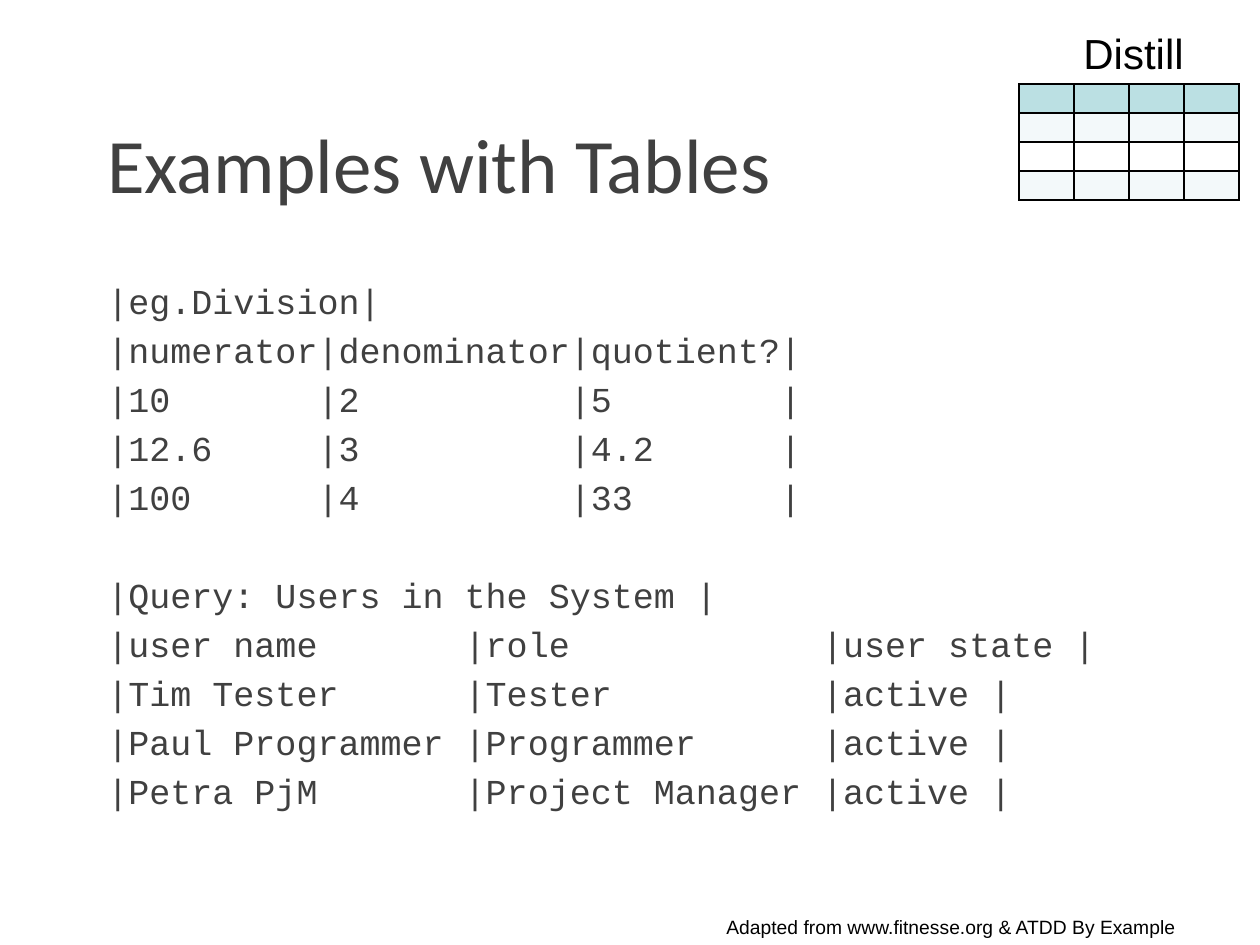
from lxml.etree import SubElement
from pptx import Presentation
from pptx.dml.color import RGBColor
from pptx.enum.text import MSO_ANCHOR
from pptx.oxml.ns import qn
from pptx.util import Emu, Pt

PX_PER_INCH = 126
BLACK, GRAY = "000000", "404040"
TABLE_ROW_FILLS = ["BBE0E3", "F3F9FA", "FFFFFF", "F3F9FA"]
LINE_GAP, BLOCK_GAP = 4, 32

DIVISION_EXAMPLE = [
    "|eg.Division|",
    "|numerator|denominator|quotient?|",
    "|10       |2          |5        |",
    "|12.6     |3          |4.2      |",
    "|100      |4          |33       |",
]
QUERY_EXAMPLE = [
    "|Query: Users in the System |",
    "|user name       |role            |user state |",
    "|Tim Tester      |Tester          |active |",
    "|Paul Programmer |Programmer      |active |",
    "|Petra PjM       |Project Manager |active |",
]


def px(length):
    return Emu(round(length * 914400 / PX_PER_INCH))


def rgb(value):
    return RGBColor.from_string(value)


def add_text(slide, box, lines, font, size, color, anchor=MSO_ANCHOR.TOP):
    frame = slide.shapes.add_textbox(*map(px, box)).text_frame
    frame.word_wrap = True
    frame.vertical_anchor = anchor
    frame.text = "\n".join(lines)
    for paragraph in frame.paragraphs:
        paragraph.font.name = font
        paragraph.font.size = Pt(size)
        paragraph.font.color.rgb = rgb(color)
    return frame


def add_examples(slide, box, blocks):
    """Stack blocks of code lines, with a wider gap between blocks."""
    lines = [line for block in blocks for line in block]
    frame = add_text(slide, box, lines, "Courier New", 20, GRAY)
    block_starts = [block[0] for block in blocks]
    for paragraph in frame.paragraphs[1:]:
        starts_block = paragraph.text in block_starts
        paragraph.space_before = Pt(BLOCK_GAP if starts_block else LINE_GAP)


def add_borders(cell):
    properties = cell._tc.get_or_add_tcPr()
    for position, side in enumerate(("lnL", "lnR", "lnT", "lnB")):
        line = properties.makeelement(qn(f"a:{side}"), {"w": str(Pt(1))})
        fill = SubElement(line, qn("a:solidFill"))
        SubElement(fill, qn("a:srgbClr"), val=BLACK)
        properties.insert(position, line)


def add_empty_table(slide, left, top, column_width, row_height, columns):
    rows = len(TABLE_ROW_FILLS)
    table = slide.shapes.add_table(
        rows, columns, px(left), px(top),
        px(column_width * columns), px(row_height * rows)).table
    for row, row_fill in zip(table.rows, TABLE_ROW_FILLS):
        for cell in row.cells:
            cell.margin_top = cell.margin_bottom = 0
            cell.fill.solid()
            cell.fill.fore_color.rgb = rgb(row_fill)
            # Small text size lets the empty rows stay low
            SubElement(cell.text_frame.paragraphs[0]._p,
                       qn("a:endParaRPr"), sz="800")
            add_borders(cell)


def main():
    deck = Presentation()
    deck.slide_width, deck.slide_height = px(1260), px(945)
    slide = deck.slides.add_slide(deck.slide_layouts[6])

    add_text(slide, (95, 84, 1071, 158), ["Examples with Tables"],
             "Calibri", 44, GRAY, MSO_ANCHOR.MIDDLE)
    add_examples(slide, (95, 273, 1071, 536),
                 [DIVISION_EXAMPLE, QUERY_EXAMPLE])
    add_empty_table(slide, 1019, 84, 55, 29, columns=4)
    add_text(slide, (1071, 21, 126, 63), ["Distill"], "Arial", 24, BLACK)
    add_text(slide, (714, 909, 546, 36),
             ["Adapted from www.fitnesse.org & ATDD By Example"],
             "Arial", 11, BLACK)

    deck.save("out.pptx")


if __name__ == "__main__":
    main()
